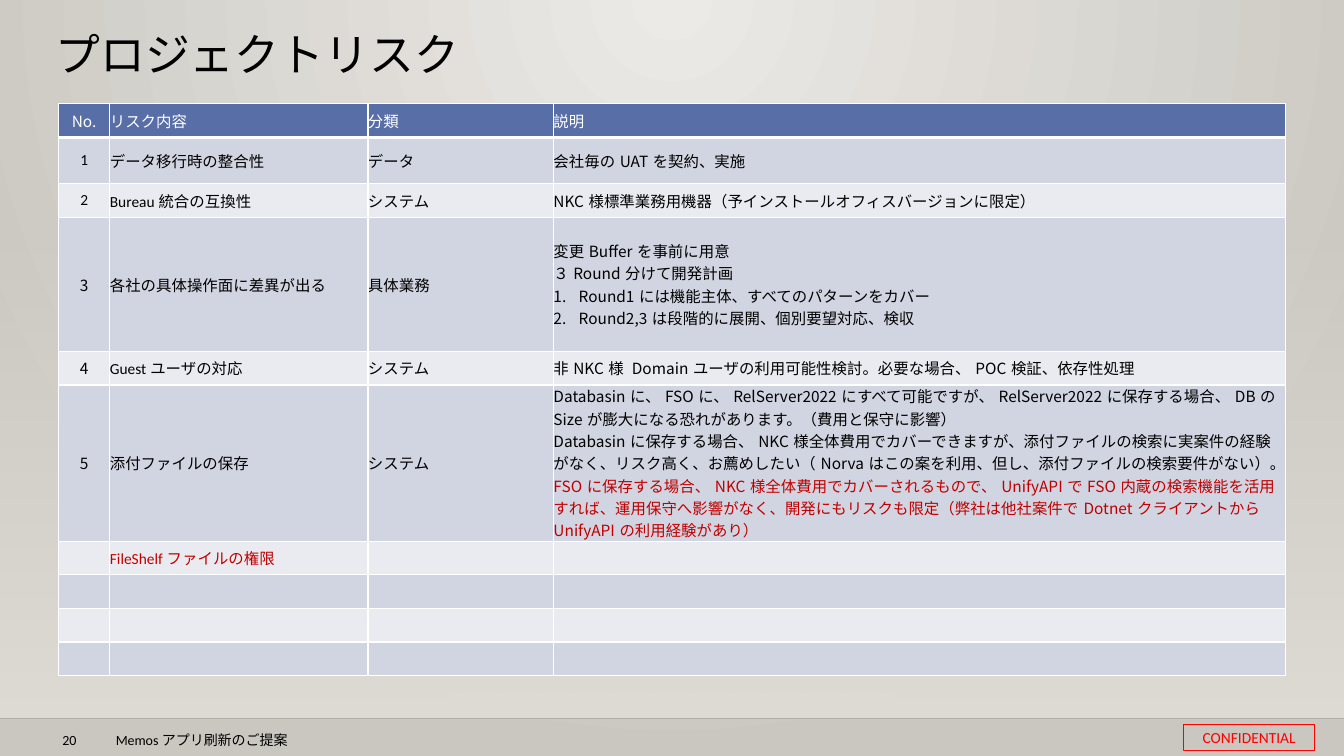
from lxml.etree import SubElement
from pptx import Presentation
from pptx.dml.color import RGBColor
from pptx.enum.shapes import MSO_CONNECTOR, MSO_SHAPE
from pptx.enum.text import MSO_ANCHOR, PP_ALIGN
from pptx.oxml.ns import qn
from pptx.util import Inches, Pt

BLACK = RGBColor(0x00, 0x00, 0x00)
WHITE = RGBColor(0xFF, 0xFF, 0xFF)
RED = RGBColor(0xFF, 0x00, 0x00)
DARK_RED = RGBColor(0xC0, 0x00, 0x00)
HEADER_BLUE = RGBColor(0x58, 0x6E, 0xA6)
BAND_DARK = RGBColor(0xD1, 0xD5, 0xE1)
BAND_LIGHT = RGBColor(0xEA, 0xEB, 0xF1)
PALE_GREY = RGBColor(0xEC, 0xEA, 0xE7)
WARM_GREY = RGBColor(0xCA, 0xC7, 0xC1)
FLOOR_GREY = RGBColor(0xDF, 0xDB, 0xD5)
CALIBRI = "Calibri"
NOTO = "Noto Sans CJK JP"


def write(paragraph, text, size=11, font=CALIBRI, color=BLACK, align=PP_ALIGN.LEFT,
          numbered=False):
    paragraph.alignment = align
    if numbered:
        properties = paragraph._p.get_or_add_pPr()
        properties.set("marL", str(Inches(0.25)))
        properties.set("indent", str(-Inches(0.25)))
        SubElement(properties, qn("a:buFont"), typeface="+mj-lt")
        SubElement(properties, qn("a:buAutoNum"), type="arabicPeriod")
    if not text:
        paragraph.font.size = Pt(size)
        return
    run = paragraph.add_run()
    run.text = text
    run.font.size = Pt(size)
    run.font.name = font
    run.font.color.rgb = color
    SubElement(run._r.get_or_add_rPr(), qn("a:ea"), typeface=NOTO)


def set_border(cell, side, width):
    line = SubElement(cell._tc.get_or_add_tcPr(), qn("a:" + side), w=str(Pt(width)))
    fill = SubElement(line, qn("a:solidFill"))
    SubElement(fill, qn("a:srgbClr"), val=str(WHITE))


presentation = Presentation()
presentation.slide_width = Inches(13.33)
presentation.slide_height = Inches(7.5)
slide = presentation.slides.add_slide(presentation.slide_layouts[5])

# Background: radial glow from the top
background = slide.background.fill
background.gradient()
for stop, color in zip(background.gradient_stops, (PALE_GREY, WARM_GREY)):
    stop.color.rgb = color
gradient = slide.element.find(".//" + qn("a:gradFill"))
gradient.remove(gradient.find(qn("a:lin")))
radial = SubElement(gradient, qn("a:path"), path="circle")
SubElement(radial, qn("a:fillToRect"), l="43000", t="0", r="43000", b="100000")

# Lower fade and footer rule
fade = slide.shapes.add_shape(MSO_SHAPE.RECTANGLE, 0, Inches(2.21), Inches(13.33), Inches(4.93))
fade.shadow.inherit = False
fade.line.fill.background()
fade.fill.gradient()
fade.fill.gradient_angle = 270
for stop in fade.fill.gradient_stops:
    stop.color.rgb = FLOOR_GREY
first_color = fade._element.find(".//" + qn("a:gs")).find(qn("a:srgbClr"))
SubElement(first_color, qn("a:alpha"), val="0")

rule = slide.shapes.add_connector(MSO_CONNECTOR.STRAIGHT, 0, Inches(7.13),
                                  Inches(13.33), Inches(7.13))
rule.line.color.rgb = BLACK
rule.line.width = Pt(1)
SubElement(rule._element.find(".//" + qn("a:srgbClr")), qn("a:alpha"), val="20000")
SubElement(rule._element.spPr, qn("a:effectLst"))

# Footer
for left, width, text in ((0.52, 0.4, "20"), (1.05, 5.67, "Memosアプリ刷新のご提案")):
    footer = slide.shapes.add_textbox(Inches(left), Inches(7.21), Inches(width), Inches(0.19))
    footer.text_frame.word_wrap = True
    write(footer.text_frame.paragraphs[0], text, size=10)

stamp = slide.shapes.add_shape(MSO_SHAPE.RECTANGLE, Inches(11.74), Inches(7.19),
                               Inches(1.3), Inches(0.26))
stamp.shadow.inherit = False
stamp.fill.background()
stamp.line.color.rgb = RED
stamp.line.width = Pt(0.75)
frame = stamp.text_frame
frame.margin_left = frame.margin_top = frame.margin_right = frame.margin_bottom = Inches(0.04)
frame.vertical_anchor = MSO_ANCHOR.MIDDLE
write(frame.paragraphs[0], "CONFIDENTIAL", color=RED, align=PP_ALIGN.CENTER)

# Title
title = slide.shapes.title
title.left, title.top = Inches(0.45), Inches(0.28)
title.width, title.height = Inches(10.2), Inches(0.75)
title.text_frame.vertical_anchor = MSO_ANCHOR.TOP
title_paragraph = title.text_frame.paragraphs[0]
title_paragraph.line_spacing = 0.9
write(title_paragraph, "プロジェクトリスク", size=32)

# Risk table: one tuple a row, one list entry a paragraph in the last column
risks = [
    ("No.", "リスク内容", "分類", ["説明"]),
    ("1", "データ移行時の整合性", "データ", ["会社毎のUATを契約、実施"]),
    ("2", "Bureau統合の互換性", "システム",
     ["NKC様標準業務用機器（予インストールオフィスバージョンに限定）"]),
    ("3", "各社の具体操作面に差異が出る", "具体業務",
     ["変更Bufferを事前に用意", "３Round分けて開発計画",
      "Round1には機能主体、すべてのパターンをカバー",
      "Round2,3は段階的に展開、個別要望対応、検収"]),
    ("4", "Guestユーザの対応", "システム",
     ["非NKC様 Domainユーザの利用可能性検討。必要な場合、POC検証、依存性処理"]),
    ("5", "添付ファイルの保存", "システム",
     ["Databasinに、FSOに、RelServer2022にすべて可能ですが、RelServer2022に保存する場合、"
      "DBのSizeが膨大になる恐れがあります。（費用と保守に影響）",
      "Databasinに保存する場合、NKC様全体費用でカバーできますが、添付ファイルの検索に実案件の経験が"
      "なく、リスク高く、お薦めしたい（Norvaはこの案を利用、但し、添付ファイルの検索要件がない）。",
      "FSOに保存する場合、NKC様全体費用でカバーされるもので、UnifyAPIでFSO内蔵の検索機能を活用"
      "すれば、運用保守へ影響がなく、開発にもリスクも限定（弊社は他社案件でDotnetクライアントから"
      "UnifyAPIの利用経験があり）"]),
    ("", "FileShelfファイルの権限", "", [""]),
] + [("", "", "", [""])] * 3
column_widths = (0.51, 2.56, 1.84, 7.26)
tall_rows = {1: 0.46, 3: 1.33, 5: 1.55}

table = slide.shapes.add_table(len(risks), len(column_widths), Inches(0.58), Inches(1.03),
                               Inches(12.17), Inches(5.67)).table
for column, width in zip(table.columns, column_widths):
    column.width = Inches(width)
for row_index, risk in enumerate(risks):
    table.rows[row_index].height = Inches(tall_rows.get(row_index, 1 / 3))
    is_header = row_index == 0
    band = HEADER_BLUE if is_header else BAND_DARK if row_index % 2 else BAND_LIGHT
    for column_index, content in enumerate(risk):
        cell = table.cell(row_index, column_index)
        cell.margin_left = cell.margin_top = cell.margin_right = cell.margin_bottom = 0
        cell.vertical_anchor = MSO_ANCHOR.MIDDLE
        for side in ("lnL", "lnR", "lnT", "lnB"):
            thick = (is_header and side == "lnB") or (row_index == 1 and side == "lnT")
            set_border(cell, side, 3 if thick else 1)
        cell.fill.solid()
        cell.fill.fore_color.rgb = band
        if is_header:
            font = NOTO if column_index in (0, 2) else CALIBRI
        else:
            font = NOTO if column_index == 3 or (column_index == 0 and row_index > 2) else CALIBRI
        lines = content if column_index == 3 else [content]
        for line_index, text in enumerate(lines):
            frame = cell.text_frame
            paragraph = frame.paragraphs[0] if line_index == 0 else frame.add_paragraph()
            is_alert = row_index == 6 or (row_index == 5 and line_index == 2)
            write(paragraph, text, font=font,
                  color=WHITE if is_header else DARK_RED if is_alert else BLACK,
                  align=PP_ALIGN.CENTER if column_index == 0 else PP_ALIGN.LEFT,
                  numbered=row_index == 3 and line_index >= 2)

presentation.save("out.pptx")
